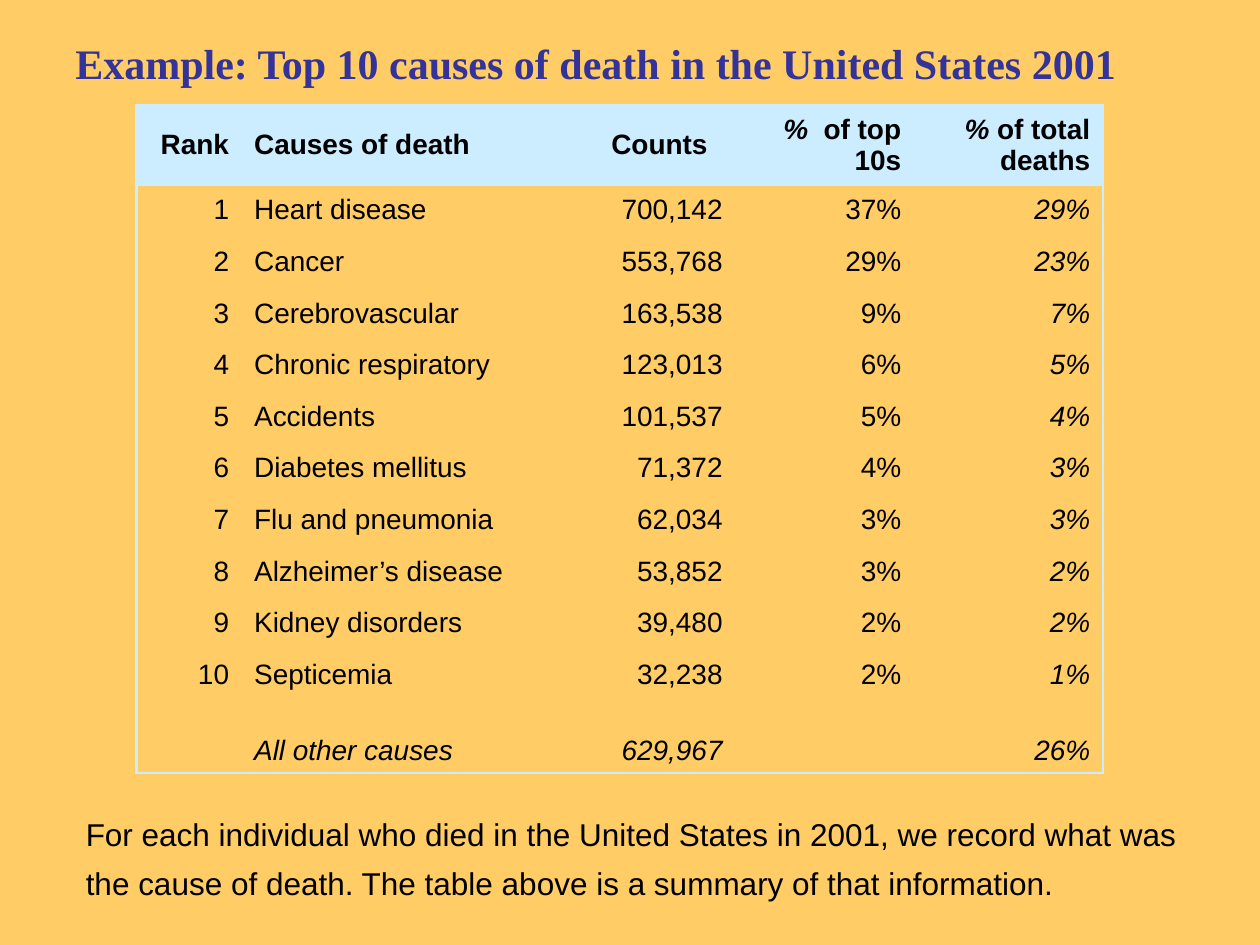
"""Build a slide with a table of the top 10 causes of death."""
from lxml import etree
from pptx import Presentation
from pptx.dml.color import RGBColor
from pptx.enum.text import MSO_ANCHOR, PP_ALIGN
from pptx.oxml.ns import qn
from pptx.util import Cm, Pt

LEFT, RIGHT = PP_ALIGN.LEFT, PP_ALIGN.RIGHT
MIDDLE, BOTTOM = MSO_ANCHOR.MIDDLE, MSO_ANCHOR.BOTTOM
SAND = RGBColor(0xFF, 0xCC, 0x66)
NAVY = RGBColor(0x33, 0x33, 0x99)
SKY = RGBColor(0xCC, 0xEC, 0xFF)
BLACK = RGBColor(0, 0, 0)

HEAD = ["Rank", "Causes of death", "Counts", "%  of top 10s", "% of total deaths"]
DATA = [
    ("Heart disease", "700,142", "37%", "29%"),
    ("Cancer", "553,768", "29%", "23%"),
    ("Cerebrovascular", "163,538", "9%", "7%"),
    ("Chronic respiratory", "123,013", "6%", "5%"),
    ("Accidents", "101,537", "5%", "4%"),
    ("Diabetes mellitus", "71,372", "4%", "3%"),
    ("Flu and pneumonia", "62,034", "3%", "3%"),
    ("Alzheimer’s disease", "53,852", "3%", "2%"),
    ("Kidney disorders", "39,480", "2%", "2%"),
    ("Septicemia", "32,238", "2%", "1%"),
]
OTHER = ["", "All other causes", "629,967", "", "26%"]
WIDTHS = [2.12, 7.2, 2.75, 3.6, 3.81]
HEIGHTS = [1.63, 0.94] + [1.04] * 9 + [1.54]


def add_run(para, text, size, color=BLACK, name="Arial", bold=False, italic=False):
    run = para.add_run()
    run.text = text
    font = run.font
    font.size, font.name = Pt(size), name
    font.bold, font.italic = bold, italic
    font.color.rgb = color


def add_edge(cell, side, shown):
    line = etree.SubElement(cell._tc.get_or_add_tcPr(), qn(f"a:ln{side}"))
    if shown:
        line.set("w", str(Pt(1.47)))
        fill = etree.SubElement(line, qn("a:solidFill"))
        etree.SubElement(fill, qn("a:srgbClr")).set("val", str(SKY))
    else:
        etree.SubElement(line, qn("a:noFill"))


deck = Presentation()
deck.slide_width, deck.slide_height = Cm(25.4), Cm(19.05)
slide = deck.slides.add_slide(deck.slide_layouts[6])
slide.background.fill.solid()
slide.background.fill.fore_color.rgb = SAND

title = slide.shapes.add_textbox(Cm(1.27), Cm(0.64), Cm(22.86), Cm(2.11)).text_frame
title.word_wrap = True
add_run(title.paragraphs[0],
        "Example: Top 10 causes of death in the United States 2001",
        24, NAVY, "Times New Roman", bold=True)

rows = [HEAD]
rows += [(str(rank), *row) for rank, row in enumerate(DATA, 1)]
rows.append(OTHER)
last_row, last_col = len(rows) - 1, len(HEAD) - 1

table = slide.shapes.add_table(len(rows), len(HEAD), Cm(2.75), Cm(2.11),
                               Cm(sum(WIDTHS)), Cm(sum(HEIGHTS))).table
table.horz_banding = False
for col, width in zip(table.columns, WIDTHS):
    col.width = Cm(width)
for row, height in zip(table.rows, HEIGHTS):
    row.height = Cm(height)

for r, row in enumerate(rows):
    for c, text in enumerate(row):
        cell = table.cell(r, c)
        top = r == 0
        cell.vertical_anchor = MIDDLE if top else BOTTOM
        edges = {"L": c == 0, "R": c == last_col, "T": top, "B": r == last_row}
        for side, shown in edges.items():
            add_edge(cell, side, shown)
        if top:
            cell.fill.solid()
            cell.fill.fore_color.rgb = SKY
        else:
            cell.fill.background()
        if not text:
            continue
        para = cell.text_frame.paragraphs[0]
        para.alignment = LEFT if c == 1 or (top and c == 2) else RIGHT
        props = para._p.get_or_add_pPr()
        props.set("marL", str(Cm(0.95)))
        props.set("indent", str(-Cm(0.95)))
        if top and text.startswith("%"):
            add_run(para, "%", 16, bold=True, italic=True)
            text = text[1:]
        slant = r == last_row or (not top and c == last_col)
        add_run(para, text, 16, bold=top, italic=slant)

note = slide.shapes.add_textbox(Cm(1.48), Cm(16.08), Cm(22.86), Cm(2.24)).text_frame
note.word_wrap = True
note.paragraphs[0].line_spacing = 1.3
add_run(note.paragraphs[0],
        "For each individual who died in the United States in 2001, we record "
        "what was the cause of death. The table above is a summary of that "
        "information.", 18)

deck.save("out.pptx")
